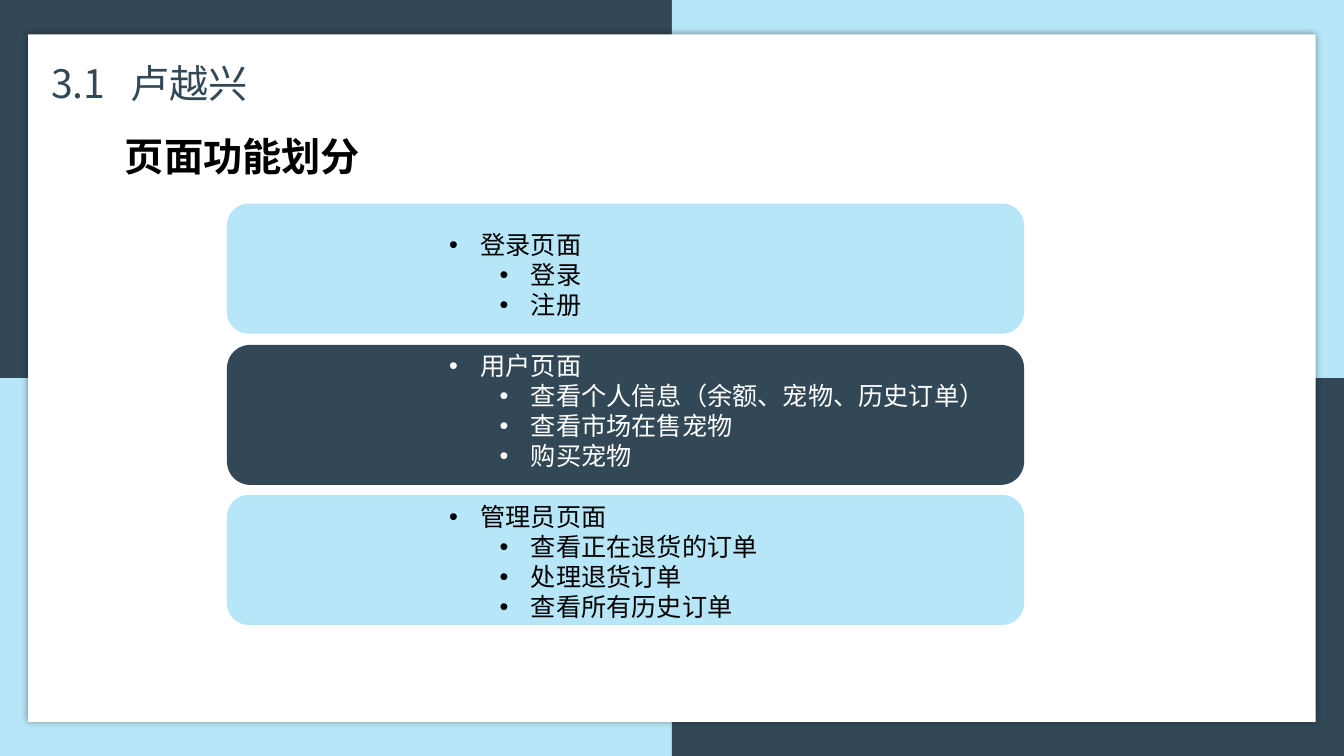
from lxml import etree
from pptx import Presentation
from pptx.dml.color import RGBColor
from pptx.enum.shapes import MSO_SHAPE
from pptx.oxml import parse_xml
from pptx.oxml.ns import nsdecls, qn
from pptx.util import Cm, Pt

RECTANGLE = MSO_SHAPE.RECTANGLE
ROUNDED = MSO_SHAPE.ROUNDED_RECTANGLE
NAVY = RGBColor(0x32, 0x48, 0x57)
SKY = RGBColor(0xB6, 0xE6, 0xF7)
WHITE = RGBColor(0xFF, 0xFF, 0xFF)
BLACK = RGBColor(0, 0, 0)

# Content
SECTION = "3.1\t卢越兴"
HEADING = "页面功能划分"
# band top, band height (cm), band colour, text colour, page, functions
PAGES = [
    (5.13, 3.28, SKY, BLACK, "登录页面", ["登录", "注册"]),
    (8.69, 3.53, NAVY, WHITE, "用户页面",
     ["查看个人信息（余额、宠物、历史订单）", "查看市场在售宠物", "购买宠物"]),
    (12.47, 3.28, SKY, BLACK, "管理员页面",
     ["查看正在退货的订单", "处理退货订单", "查看所有历史订单"]),
]
WIDTH, HEIGHT = 33.87, 19.05
BAND_LEFT, BAND_WIDTH = 5.72, 20.09
LINE_PITCH, PAGE_GAP = Pt(21.5), Pt(22)

presentation = Presentation()
presentation.slide_width, presentation.slide_height = Cm(WIDTH), Cm(HEIGHT)
slide = presentation.slides.add_slide(presentation.slide_layouts[6])


def add_block(kind, left, top, width, height, color):
    shape = slide.shapes.add_shape(kind, Cm(left), Cm(top), Cm(width), Cm(height))
    shape.shadow.inherit = False
    shape.fill.solid()
    shape.fill.fore_color.rgb = color
    shape.line.fill.background()
    return shape


def add_text_frame(left, top, width, height, wrap):
    box = slide.shapes.add_textbox(Cm(left), Cm(top), Cm(width), Cm(height))
    box.text_frame.word_wrap = wrap
    return box.text_frame


def add_run(paragraph, text, size, color, font="Arial", bold=False):
    run = paragraph.add_run()
    run.text = text
    run.font.size, run.font.bold, run.font.name = Pt(size), bold, font
    run.font.color.rgb = color
    east_asian = etree.SubElement(run.font._element, qn("a:ea"))
    east_asian.set("typeface", font)


def add_bullet(paragraph, indent):
    properties = paragraph._p.get_or_add_pPr()
    properties.set("marL", str(Cm(indent)))
    properties.set("indent", str(-Cm(0.79)))
    font = etree.SubElement(properties, qn("a:buFont"))
    font.set("typeface", "Arial")
    etree.SubElement(properties, qn("a:buChar")).set("char", "•")


# Four background quarters in alternating colours
for row in range(2):
    for column in range(2):
        add_block(RECTANGLE, column * WIDTH / 2, row * HEIGHT / 2, WIDTH / 2,
                  HEIGHT / 2, SKY if (row + column) % 2 else NAVY)

# White panel with a soft shadow
panel = add_block(RECTANGLE, 0.71, 0.87, 32.45, 17.32, WHITE)
effects = panel._element.spPr.find(qn("a:effectLst"))
effects.append(parse_xml(
    f'<a:outerShdw {nsdecls("a")} blurRad="{Pt(5)}" dist="0" dir="0" algn="ctr" '
    'rotWithShape="0"><a:srgbClr val="000000"><a:alpha val="40000"/></a:srgbClr>'
    '</a:outerShdw>'))

# Section title, name aligned at a tab stop
section = add_text_frame(1.04, 0.48, 10.54, 2.31, True).paragraphs[0]
section.line_spacing = 1.75
tabs = etree.SubElement(section._p.get_or_add_pPr(), qn("a:tabLst"))
tab = etree.SubElement(tabs, qn("a:tab"))
tab.set("pos", str(Cm(2)))
tab.set("algn", "l")
add_run(section, SECTION, 28, NAVY, "Noto Sans CJK SC")

# Bands
for top, height, band_color, *_ in PAGES:
    add_block(ROUNDED, BAND_LEFT, top, BAND_WIDTH, height, band_color)

# Pages and their functions in one bulleted list
frame = add_text_frame(11.07, 5.66, 14.15, 10.26, False)
for number, (_, _, _, color, page, functions) in enumerate(PAGES):
    for position, text in enumerate([page, *functions]):
        first = number == position == 0
        paragraph = frame.paragraphs[0] if first else frame.add_paragraph()
        add_bullet(paragraph, 2.06 if position else 0.79)
        paragraph.level = 1 if position else 0
        paragraph.line_spacing = LINE_PITCH
        if number and not position:
            paragraph.space_before = PAGE_GAP
        add_run(paragraph, text, 18, color)

# Heading
heading = add_text_frame(2.9, 3.2, 6.5, 1.45, False).paragraphs[0]
add_run(heading, HEADING, 28, BLACK, bold=True)

presentation.save("out.pptx")
